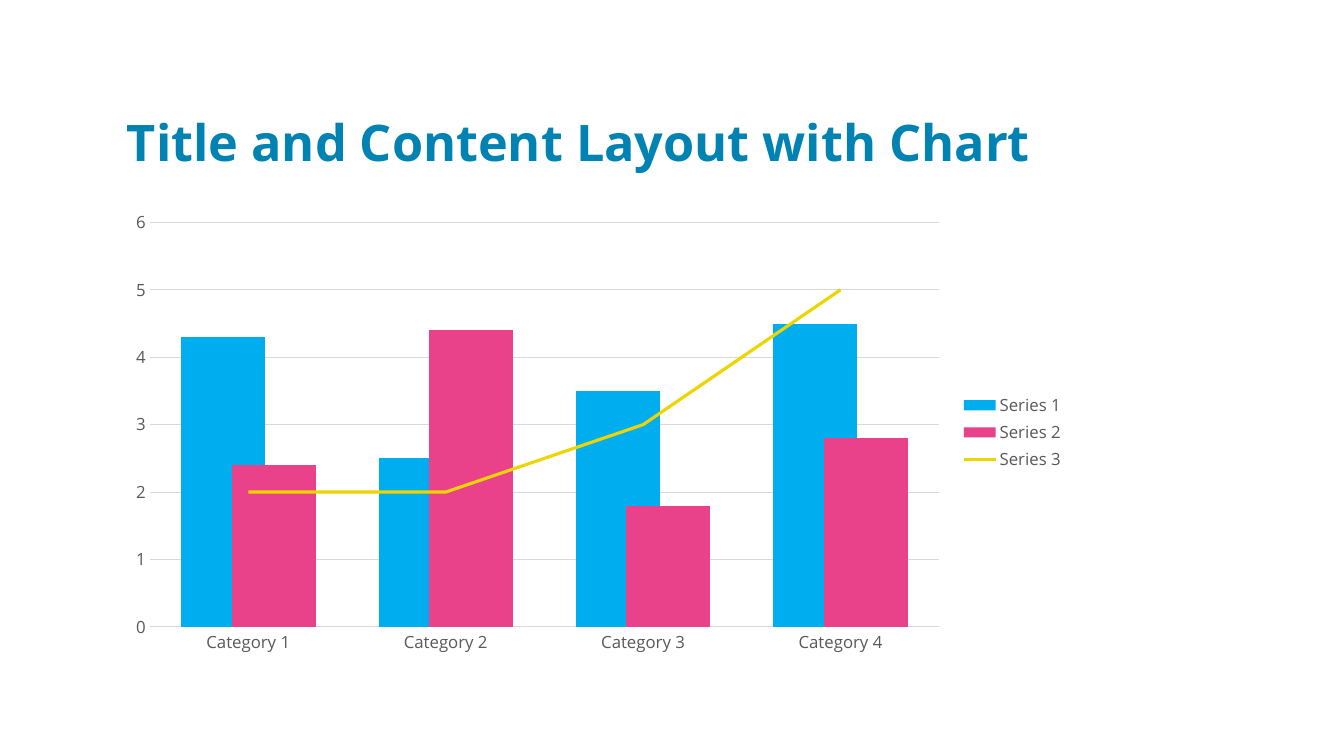
from copy import deepcopy

from pptx import Presentation
from pptx.chart.data import CategoryChartData
from pptx.dml.color import RGBColor
from pptx.enum.chart import XL_CHART_TYPE as ChartType, XL_LEGEND_POSITION as LegendSide
from pptx.enum.chart import XL_MARKER_STYLE as Marker, XL_TICK_MARK as Tick
from pptx.enum.text import MSO_ANCHOR as Anchor
from pptx.oxml import parse_xml
from pptx.oxml.ns import nsdecls, qn
from pptx.util import Inches, Pt

# Content
TITLE = "Title and Content Layout with Chart"
CATEGORIES = ["Category 1", "Category 2", "Category 3", "Category 4"]
BLUE = RGBColor(0x00, 0xAE, 0xEF)
PINK = RGBColor(0xEA, 0x42, 0x8A)
YELLOW = RGBColor(0xEE, 0xD5, 0x00)
BARS = [
    ("Series 1", (4.3, 2.5, 3.5, 4.5), BLUE),
    ("Series 2", (2.4, 4.4, 1.8, 2.8), PINK),
]
LINE = ("Series 3", (2, 2, 3, 5), YELLOW)

# Format
TITLE_BLUE = RGBColor(0x00, 0x83, 0xB3)
GREY = RGBColor(0x59, 0x59, 0x59)
PALE_GREY = RGBColor(0xD9, 0xD9, 0xD9)
FONT = "Open Sans"
TITLE_FONT = {"name": FONT, "size": Pt(36), "bold": True}
LABEL_FONT = {"name": FONT, "size": Pt(12), "bold": False}

# Both parts share one column
LEFT, WIDTH = Inches(1.16), Inches(9.5)
TITLE_TOP, TITLE_HEIGHT = Inches(0.58), Inches(1.17)
CHART_TOP, CHART_HEIGHT = Inches(2), Inches(4.58)


def set_font(font, values, color):
    for name, value in values.items():
        setattr(font, name, value)
    font.color.rgb = color


def set_line(line, color, width):
    line.color.rgb = color
    line.width = Pt(width)


def move_last_series_to_line(chart):
    """Turn the last column series into a line on the same axes."""
    bar_chart = chart.plots[0]._element
    line_chart = parse_xml(
        f'<c:lineChart {nsdecls("c")}><c:grouping val="standard"/>'
        '<c:varyColors val="0"/></c:lineChart>'
    )
    series = bar_chart.findall(qn("c:ser"))[-1]
    for flag in series.findall(qn("c:invertIfNegative")):
        series.remove(flag)
    line_chart.append(series)
    line_chart.append(parse_xml(f'<c:marker {nsdecls("c")} val="1"/>'))
    for axis_id in bar_chart.findall(qn("c:axId")):
        line_chart.append(deepcopy(axis_id))
    bar_chart.addnext(line_chart)


deck = Presentation()
deck.slide_width, deck.slide_height = Inches(13.33), Inches(7.5)
page = deck.slides.add_slide(deck.slide_layouts[6])

# Title
box = page.shapes.add_textbox(LEFT, TITLE_TOP, WIDTH, TITLE_HEIGHT)
frame = box.text_frame
frame.word_wrap = True
frame.vertical_anchor = Anchor.BOTTOM
para = frame.paragraphs[0]
para.line_spacing = 0.8
span = para.add_run()
span.text = TITLE
set_font(span.font, TITLE_FONT, TITLE_BLUE)

# Chart data
data = CategoryChartData()
data.categories = CATEGORIES
for name, values, _ in BARS + [LINE]:
    data.add_series(name, values)
chart = page.shapes.add_chart(
    ChartType.COLUMN_CLUSTERED, LEFT, CHART_TOP, WIDTH, CHART_HEIGHT, data
).chart
chart.has_title = False
set_font(chart.font, LABEL_FONT, GREY)
move_last_series_to_line(chart)

# Columns and line
columns, lines = chart.plots
columns.gap_width, columns.overlap = 75, 40
columns.vary_by_categories = False
for series, (_, _, color) in zip(columns.series, BARS):
    series.format.fill.solid()
    series.format.fill.fore_color.rgb = color
trend = lines.series[0]
trend.smooth = False
trend.marker.style = Marker.NONE
set_line(trend.format.line, LINE[2], 2.25)

# Axes
for axis in (chart.category_axis, chart.value_axis):
    axis.major_tick_mark = axis.minor_tick_mark = Tick.NONE
    set_font(axis.tick_labels.font, LABEL_FONT, GREY)
set_line(chart.category_axis.format.line, PALE_GREY, 0.75)
scale = chart.value_axis
scale.minimum_scale, scale.maximum_scale, scale.major_unit = 0, 6, 1
scale.format.line.fill.background()
scale.has_major_gridlines = True
set_line(scale.major_gridlines.format.line, PALE_GREY, 0.75)

# Legend
chart.has_legend = True
chart.legend.position = LegendSide.RIGHT
chart.legend.include_in_layout = False
set_font(chart.legend.font, LABEL_FONT, GREY)

deck.save("out.pptx")
